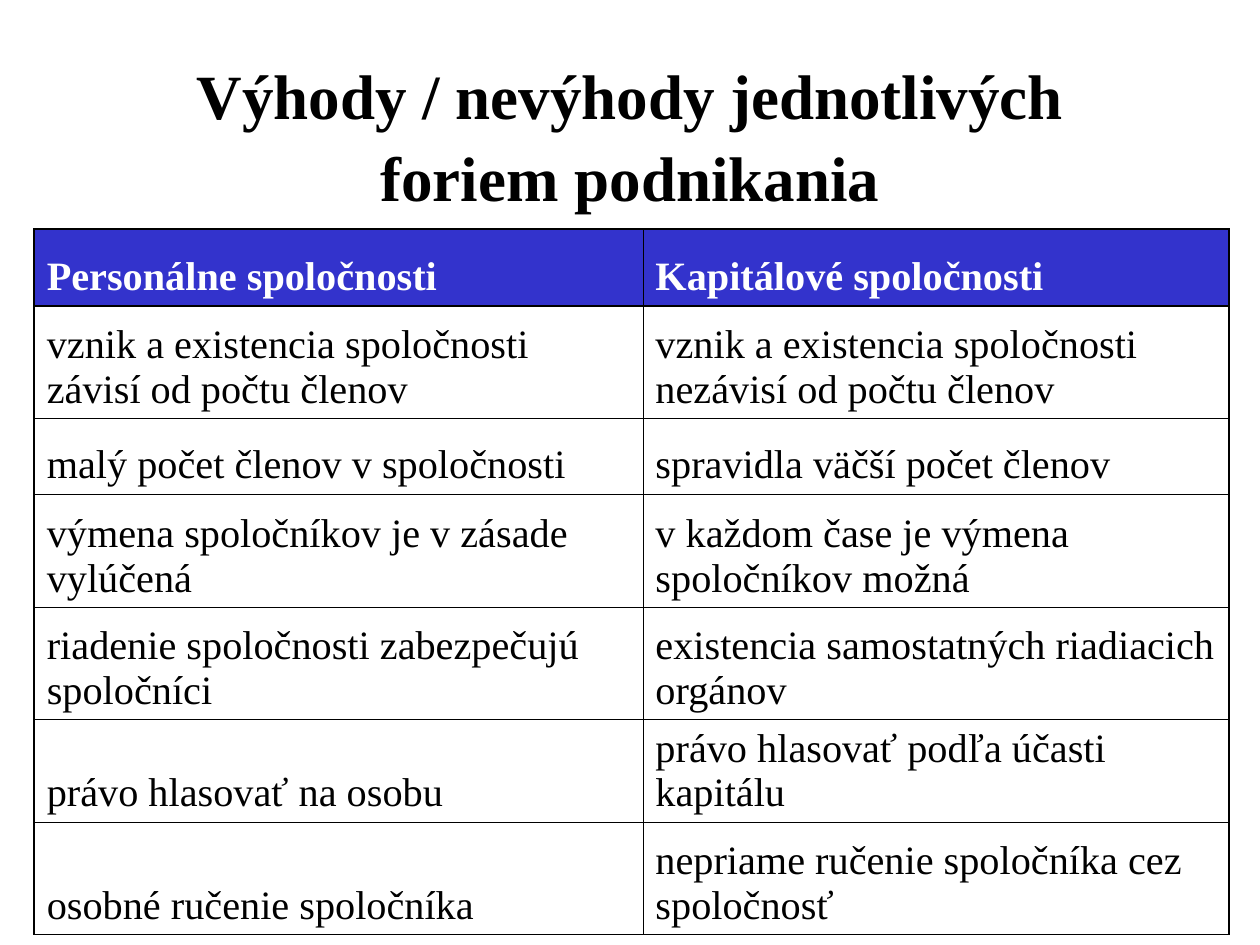
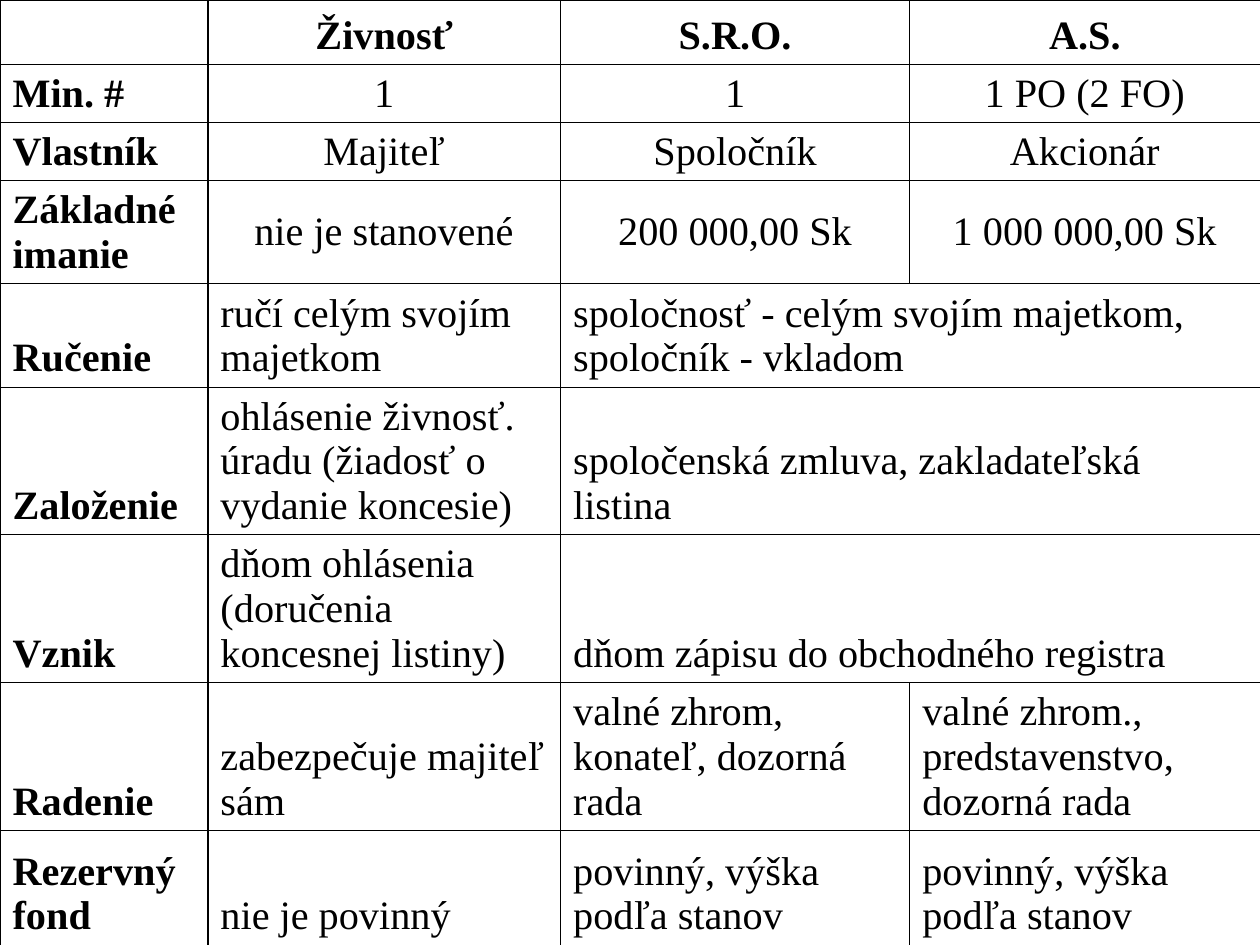
from lxml import etree
from pptx import Presentation
from pptx import util as u
from pptx.dml import color
from pptx.enum import text
from pptx.oxml import ns

COLORS = {"ink": "000000", "header": "3333CC", "header_text": "FFFFFF"}
FONT = "Times New Roman"
TITLE_SIZE, CELL_SIZE = 36, 23
THIN, HEAVY = 0.45, 1.08
TITLE_ONLY, BLANK = 5, 6

COMPANY_ROWS = [
    ("Personálne spoločnosti", "Kapitálové spoločnosti"),
    ("vznik a existencia spoločnosti závisí od počtu členov",
     "vznik a existencia spoločnosti nezávisí od počtu členov"),
    ("malý počet členov v spoločnosti", "spravidla väčší počet členov"),
    ("výmena spoločníkov je v zásade vylúčená",
     "v každom čase je výmena spoločníkov možná"),
    ("riadenie spoločnosti zabezpečujú spoločníci",
     "existencia samostatných riadiacich orgánov"),
    ("právo hlasovať na osobu", "právo hlasovať podľa účasti kapitálu"),
    ("osobné ručenie spoločníka", "nepriame ručenie spoločníka cez spoločnosť"),
]

# None continues the cell to its left
LEGAL_FORM_ROWS = [
    ("", "Živnosť", "S.R.O.", "A.S."),
    ("Min. #", "1", "1", "1 PO (2 FO)"),
    ("Vlastník", "Majiteľ", "Spoločník", "Akcionár"),
    ("Základné imanie", "nie je stanovené", "200 000,00 Sk", "1 000 000,00 Sk"),
    ("Ručenie", "ručí celým svojím majetkom",
     "spoločnosť - celým svojím majetkom, spoločník - vkladom", None),
    ("Založenie", "ohlásenie živnosť. úradu (žiadosť o vydanie koncesie)",
     "spoločenská zmluva, zakladateľská listina", None),
    ("Vznik", "dňom ohlásenia (doručenia koncesnej listiny)",
     "dňom zápisu do obchodného registra", None),
    ("Radenie", "zabezpečuje majiteľ sám", "valné zhrom, konateľ, dozorná rada",
     "valné zhrom., predstavenstvo, dozorná rada"),
    ("Rezervný fond", "nie je povinný", "povinný, výška podľa stanov",
     "povinný, výška podľa stanov"),
]


def rgb(name):
    return color.RGBColor.from_string(COLORS[name])


def add_run(paragraph, wording, size, ink="ink", bold=False):
    run = paragraph.add_run()
    run.text = wording
    run.font.name = FONT
    run.font.size = u.Pt(size)
    run.font.bold = bold
    run.font.color.rgb = rgb(ink)


def set_borders(cell, widths):
    """Draw the left, right, top and bottom borders, given in points."""
    properties = cell._tc.get_or_add_tcPr()
    for index, (side, width) in enumerate(zip("LRTB", widths)):
        line = etree.Element(ns.qn(f"a:ln{side}"), w=str(int(u.Pt(width))))
        fill = etree.SubElement(line, ns.qn("a:solidFill"))
        etree.SubElement(fill, ns.qn("a:srgbClr"), val=COLORS["ink"])
        properties.insert(index, line)


def add_grid(slide, box, rows, widths, heights, heavy_rows, heavy_columns, style):
    """Place a table; heavy_* number the thick grid lines, style(r, c) formats a cell."""
    grid = slide.shapes.add_table(len(rows), len(widths),
                                  *(u.Cm(length) for length in box)).table
    grid.first_row = grid.horz_banding = False
    for column, width in zip(grid.columns, widths):
        column.width = u.Cm(width)
    for row, height in zip(grid.rows, heights):
        row.height = u.Cm(height)

    def weight(line, heavy):
        return HEAVY if line in heavy else THIN

    for r, row in enumerate(rows):
        for c, wording in enumerate(row):
            cell = grid.cell(r, c)
            if wording is None:
                grid.cell(r, c - 1).merge(cell)
                continue
            look = style(r, c)
            if "fill" in look:
                cell.fill.solid()
                cell.fill.fore_color.rgb = rgb(look["fill"])
            else:
                cell.fill.background()
            cell.vertical_anchor = look.get("anchor", text.MSO_ANCHOR.BOTTOM)
            set_borders(cell, (weight(c, heavy_columns), weight(c + 1, heavy_columns),
                               weight(r, heavy_rows), weight(r + 1, heavy_rows)))
            paragraph = cell.text_frame.paragraphs[0]
            paragraph.alignment = look.get("align", text.PP_ALIGN.LEFT)
            if wording:
                add_run(paragraph, wording, CELL_SIZE,
                        look.get("ink", "ink"), look.get("bold", False))


def add_title(slide, box, wording):
    title = slide.shapes.title
    title.left, title.top, title.width, title.height = (u.Cm(length) for length in box)
    frame = title.text_frame
    frame.word_wrap = True
    frame.auto_size = text.MSO_AUTO_SIZE.NONE
    frame.vertical_anchor = text.MSO_ANCHOR.MIDDLE
    paragraph = frame.paragraphs[0]
    paragraph.alignment = text.PP_ALIGN.CENTER
    paragraph.line_spacing = 1.09
    add_run(paragraph, wording, TITLE_SIZE, bold=True)


def company_style(r, c):
    return {"fill": "header", "ink": "header_text", "bold": True} if r == 0 else {}


def legal_form_style(r, c):
    look = {"bold": r == 0 or c == 0}
    if c > 0 and r <= 3:
        look["align"] = text.PP_ALIGN.CENTER
    if c > 0 and r == 3:
        look["anchor"] = text.MSO_ANCHOR.MIDDLE
    return look


def build_company_slide(deck):
    slide = deck.slides.add_slide(deck.slide_layouts[TITLE_ONLY])
    add_title(slide, (1.9, 1.07, 21.6, 3.18),
              "Výhody / nevýhody jednotlivých foriem podnikania")
    add_grid(slide, (0.69, 4.62, 24.1, 14.2), COMPANY_ROWS,
             widths=(12.27, 11.82),
             heights=(1.55, 2.27, 1.52, 2.28, 2.27, 2.06, 2.27),
             heavy_rows={0, 1, len(COMPANY_ROWS)}, heavy_columns={0, 2},
             style=company_style)


def build_legal_form_slide(deck):
    slide = deck.slides.add_slide(deck.slide_layouts[BLANK])
    add_grid(slide, (0, 0, 25.4, 19.05), LEGAL_FORM_ROWS,
             widths=(4.19, 7.11, 7.04, 7.06),
             heights=(1.3, 1.17, 1.17, 2.08, 2.08, 2.98, 2.98, 2.98, 2.31),
             heavy_rows={1}, heavy_columns={1}, style=legal_form_style)


def main():
    deck = Presentation()
    deck.slide_width, deck.slide_height = u.Cm(25.4), u.Cm(19.05)
    build_company_slide(deck)
    build_legal_form_slide(deck)
    deck.save("out.pptx")


if __name__ == "__main__":
    main()
